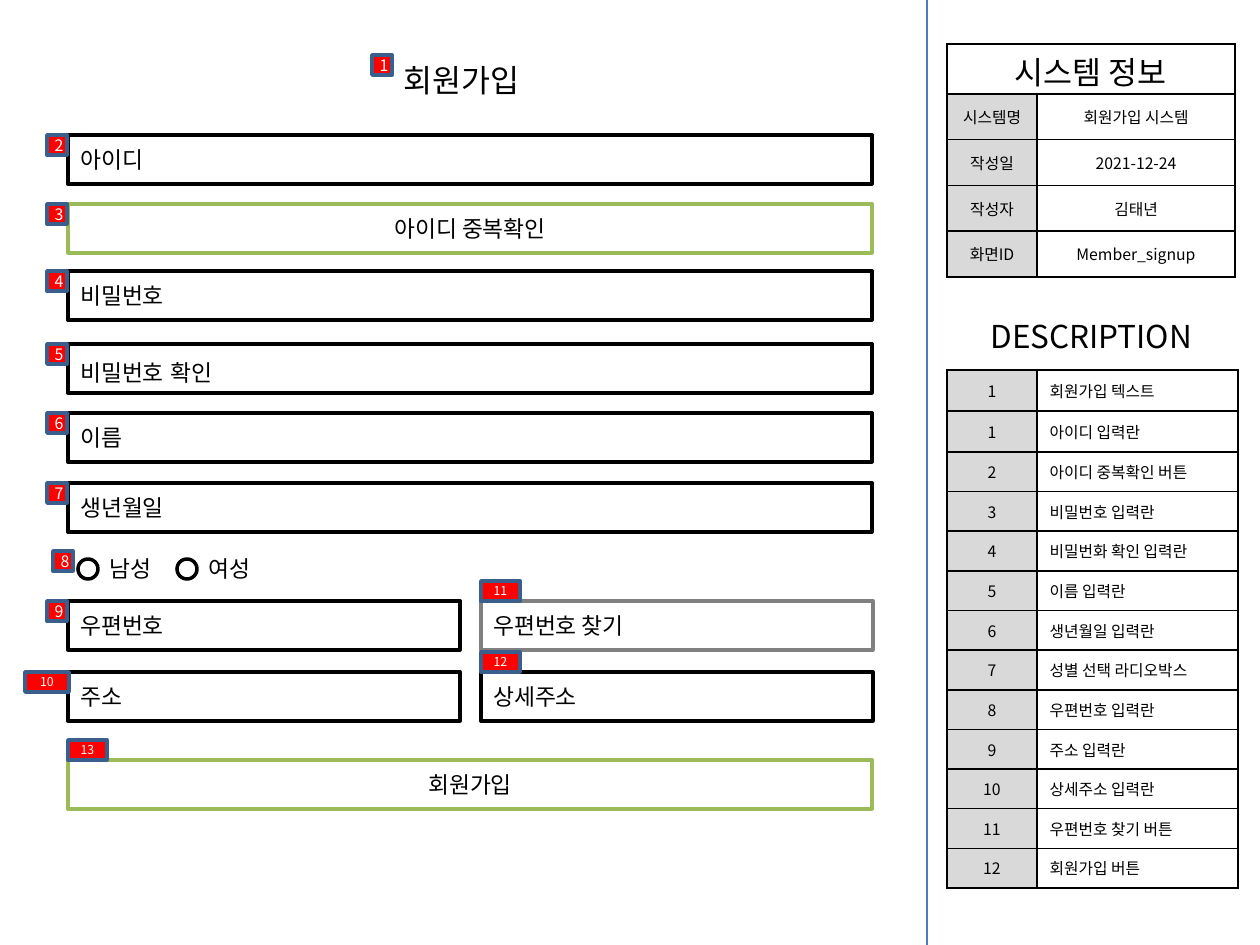
import pptx
import pptx.dml.color
import pptx.enum.shapes
import pptx.enum.text
import pptx.oxml.ns
import pptx.util
from dataclasses import dataclass
from lxml import etree

UNIT = 914400 / 126
KIND = pptx.enum.shapes.MSO_SHAPE
ALIGN = pptx.enum.text.PP_ALIGN
MID = pptx.enum.text.MSO_ANCHOR.MIDDLE
TOP = pptx.enum.text.MSO_ANCHOR.TOP


@dataclass(frozen=True)
class Theme:
    """Colours, face and type sizes of the slide."""
    face: str = "Noto Sans CJK KR"
    black: str = "000000"
    white: str = "FFFFFF"
    gray: str = "808080"
    pale: str = "D9D9D9"
    green: str = "9BBB59"
    red: str = "FF0000"
    navy: str = "3A5F8C"
    blue: str = "4B7EBC"
    head: int = 18
    body: int = 13
    small: int = 9
    tiny: int = 7


LOOK = Theme()


def px(num):
    """Turn px into EMU."""
    return pptx.util.Emu(round(num * UNIT))


def tint(code):
    """Turn a hex code into a colour."""
    return pptx.dml.color.RGBColor.from_string(code)


def add(node, tag, **attrs):
    """Append a drawing element to a node."""
    return etree.SubElement(node, pptx.oxml.ns.qn(tag), **attrs)


def write(frame, text, size=LOOK.body, ink=LOOK.black, align=ALIGN.LEFT, anchor=MID):
    """Fill a text frame with a string or a list of (text, size) runs."""
    frame.word_wrap = True
    frame.vertical_anchor = anchor
    line = frame.paragraphs[0]
    line.alignment = align
    for part, pts in [(text, size)] if isinstance(text, str) else text:
        run = line.add_run()
        run.text = part
        run.font.size = pptx.util.Pt(pts)
        run.font.name = LOOK.face
        run.font.color.rgb = tint(ink)
        add(run.font._element, "a:ea", typeface=LOOK.face)


def label(page, box, text, **style):
    """Place plain text in a box."""
    item = page.shapes.add_textbox(*map(px, box))
    write(item.text_frame, text, anchor=TOP, **style)


def shape(page, kind, box, fill, edge):
    """Place a flat outlined shape and return it."""
    item = page.shapes.add_shape(kind, *map(px, box))
    item.shadow.inherit = False
    item.fill.solid()
    item.fill.fore_color.rgb = tint(fill)
    item.line.color.rgb = tint(edge)
    item.line.width = pptx.util.Pt(2)
    return item


def badge(page, box, mark):
    """Place a red number tag."""
    wide = len(mark) > 1
    frame = shape(page, KIND.RECTANGLE, box, LOOK.red, LOOK.navy).text_frame
    frame.margin_left = px(0 if wide else 4)
    frame.margin_right = frame.margin_top = frame.margin_bottom = 0
    write(frame, mark, size=LOOK.tiny if wide else LOOK.small,
          ink=LOOK.white, align=ALIGN.CENTER)


def field(page, box, text, mark, above=False, edge=LOOK.black, align=ALIGN.LEFT):
    """Place an input or button with its number tag."""
    left, top = box[:2]
    item = shape(page, KIND.RECTANGLE, box, LOOK.white, edge)
    write(item.text_frame, text, align=align)
    if above:
        tag = (left, top - 20, 39, 20)
    elif len(mark) > 1:
        tag = (left - 43, top, 44, 20)
    else:
        tag = (left - 21, top, 20, 20)
    badge(page, tag, mark)


def radio(page, box, names, mark):
    """Place a row of radio buttons."""
    left, top, step, side = box
    for i, name in enumerate(names):
        spot = left + i * step
        shape(page, KIND.OVAL, (spot, top, side, side), LOOK.white, LOOK.black)
        label(page, (spot + 19, top - 10, 89, 40), name)
    badge(page, (left - 25, top - 8, 20, 20), mark)


def form(page, box):
    """Build the sign-up form."""
    left, top, wide, tall = box
    row = 49
    half = (wide - 20) // 2
    label(page, (left + 255, top, 277, 50), "회원가입", size=LOOK.head, align=ALIGN.CENTER)
    badge(page, (left + 304, top, 20, 20), "1")
    check = [("비밀번호", LOOK.body), (" ", LOOK.head), ("확인", LOOK.body)]
    push = {"edge": LOOK.green, "align": ALIGN.CENTER}
    for down, text, mark, style in [
        (80, "아이디", "2", {}),
        (149, "아이디 중복확인", "3", push),
        (216, "비밀번호", "4", {}),
        (289, check, "5", {}),
        (358, "이름", "6", {}),
        (428, "생년월일", "7", {}),
        (tall - row, "회원가입", "13", {"above": True, **push}),
    ]:
        field(page, (left, top + down, wide - 1, row), text, mark, **style)
    radio(page, (left + 10, top + 504, 99, 20), ["남성", "여성"], "8")
    far = left + wide - half
    for down, near, mark, other, next_mark, edge in [
        (546, "우편번호", "9", "우편번호 찾기", "11", LOOK.gray),
        (617, "주소", "10", "상세주소", "12", LOOK.black),
    ]:
        field(page, (left, top + down, half, row), near, mark)
        field(page, (far, top + down, half, row), other, next_mark, above=True, edge=edge)


def paint(cell, fill):
    """Give a cell black borders and a fill."""
    props = cell._tc.get_or_add_tcPr()
    for side in "LRTB":
        edge = add(props, f"a:ln{side}", w=str(pptx.util.Pt(1)))
        add(add(edge, "a:solidFill"), "a:srgbClr", val=LOOK.black)
    cell.fill.solid()
    cell.fill.fore_color.rgb = tint(fill)


def grid(page, box, rows, first, align):
    """Build a two-column table whose first row heights are given."""
    left, top, wide, tall = box
    table = page.shapes.add_table(len(rows), 2, *map(px, box)).table
    table.first_row = table.horz_banding = False
    for col, size in zip(table.columns, (90, wide - 90)):
        col.width = px(size)
    rest = (tall - sum(first)) / (len(rows) - len(first))
    for i, pair in enumerate(rows):
        table.rows[i].height = px(first[i] if i < len(first) else rest)
        title = len(pair) == 1
        for j in range(2):
            cell = table.cell(i, j)
            cell.vertical_anchor = MID
            paint(cell, LOOK.white if title or j else LOOK.pale)
            if title:
                cell.margin_top, cell.margin_bottom = px(4), 0
            if j < len(pair):
                write(cell.text_frame, pair[j],
                      size=LOOK.head if title else LOOK.small,
                      align=align if j else ALIGN.CENTER)
        if title:
            table.cell(i, 0).merge(table.cell(i, 1))


def info(page, box):
    """Build the system facts table."""
    rows = [("시스템 정보",), ("시스템명", "회원가입 시스템"), ("작성일", "2021-12-24"),
            ("작성자", "김태년"), ("화면ID", "Member_signup")]
    grid(page, box, rows, (50,), ALIGN.CENTER)


def legend(page, box):
    """Build the numbered list with its heading."""
    left, top, wide, tall = box
    label(page, (left + 31, top, 248, 50), "DESCRIPTION", size=LOOK.head)
    texts = ["회원가입 텍스트", "아이디 입력란", "아이디 중복확인 버튼", "비밀번호 입력란",
             "비밀번화 확인 입력란", "이름 입력란", "생년월일 입력란", "성별 선택 라디오박스",
             "우편번호 입력란", "주소 입력란", "상세주소 입력란", "우편번호 찾기 버튼",
             "회원가입 버튼"]
    rows = [(str(max(i, 1)), text) for i, text in enumerate(texts)]
    grid(page, (left, top + 59, wide, tall - 59), rows, (41, 41), ALIGN.LEFT)


def split(page, left, tall):
    """Draw the line between form and side panel."""
    straight = pptx.enum.shapes.MSO_CONNECTOR.STRAIGHT
    line = page.shapes.add_connector(straight, px(left), 0, px(left), px(tall))
    line.line.color.rgb = tint(LOOK.blue)
    line.line.width = pptx.util.Pt(0.75)
    add(line._element.spPr, "a:effectLst")


def main():
    """Build and save the slide."""
    deck = pptx.Presentation()
    deck.slide_width, deck.slide_height = px(1260), px(945)
    page = deck.slides.add_slide(deck.slide_layouts[6])
    split(page, 927, 945)
    form(page, (68, 55, 805, 754))
    info(page, (947, 44, 288, 233))
    legend(page, (947, 311, 291, 577))
    deck.save("out.pptx")


if __name__ == "__main__":
    main()
